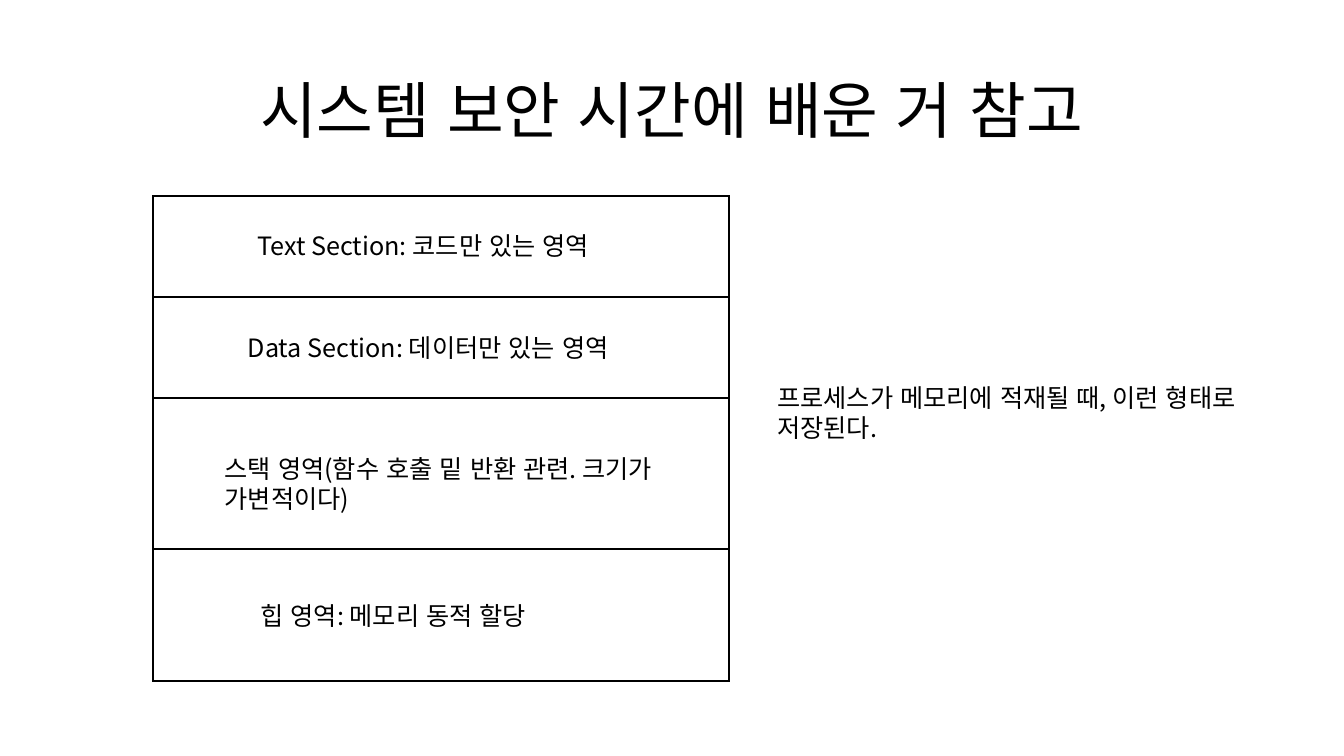
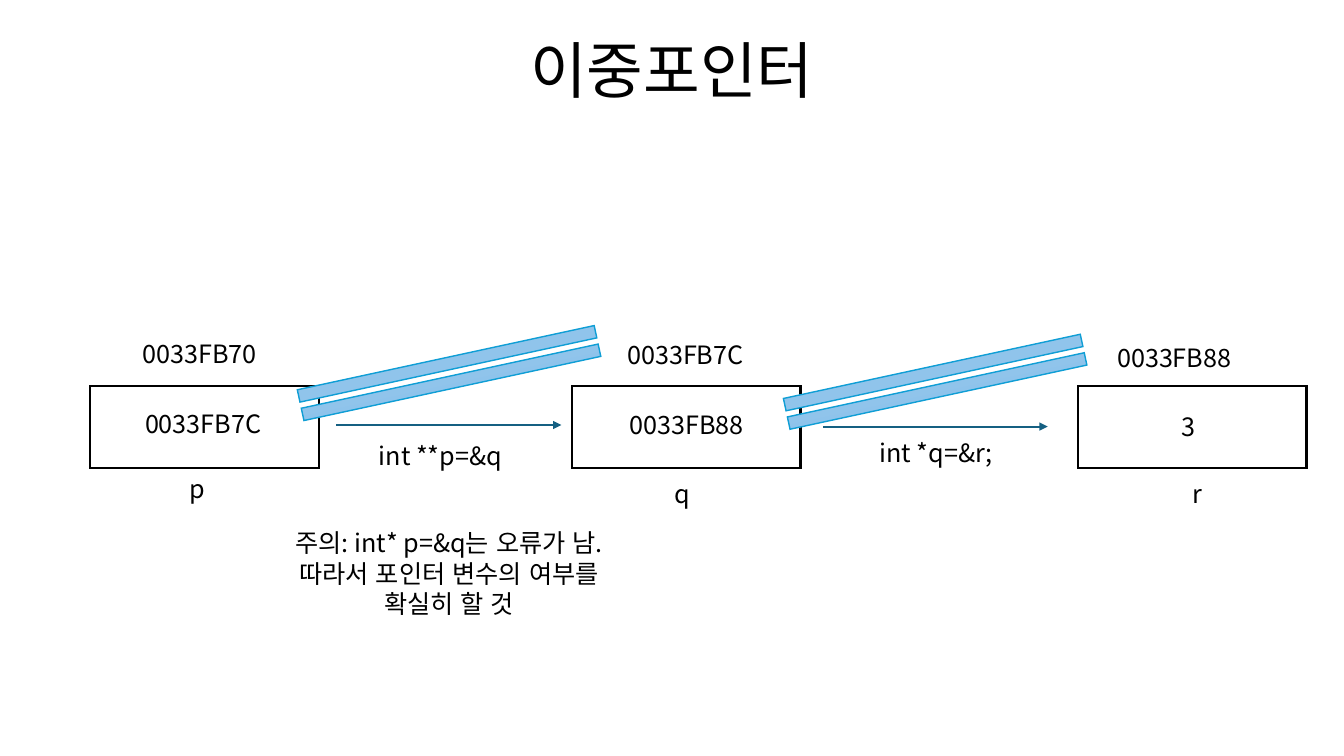
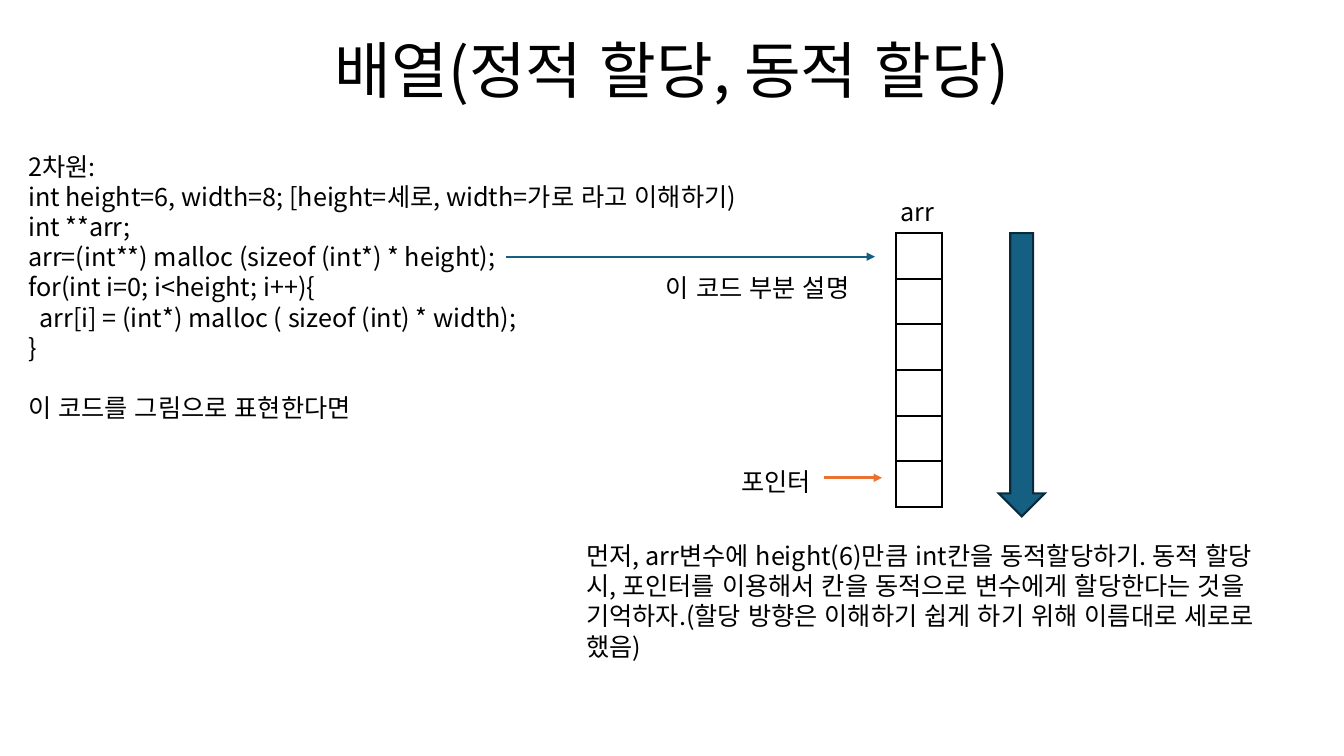
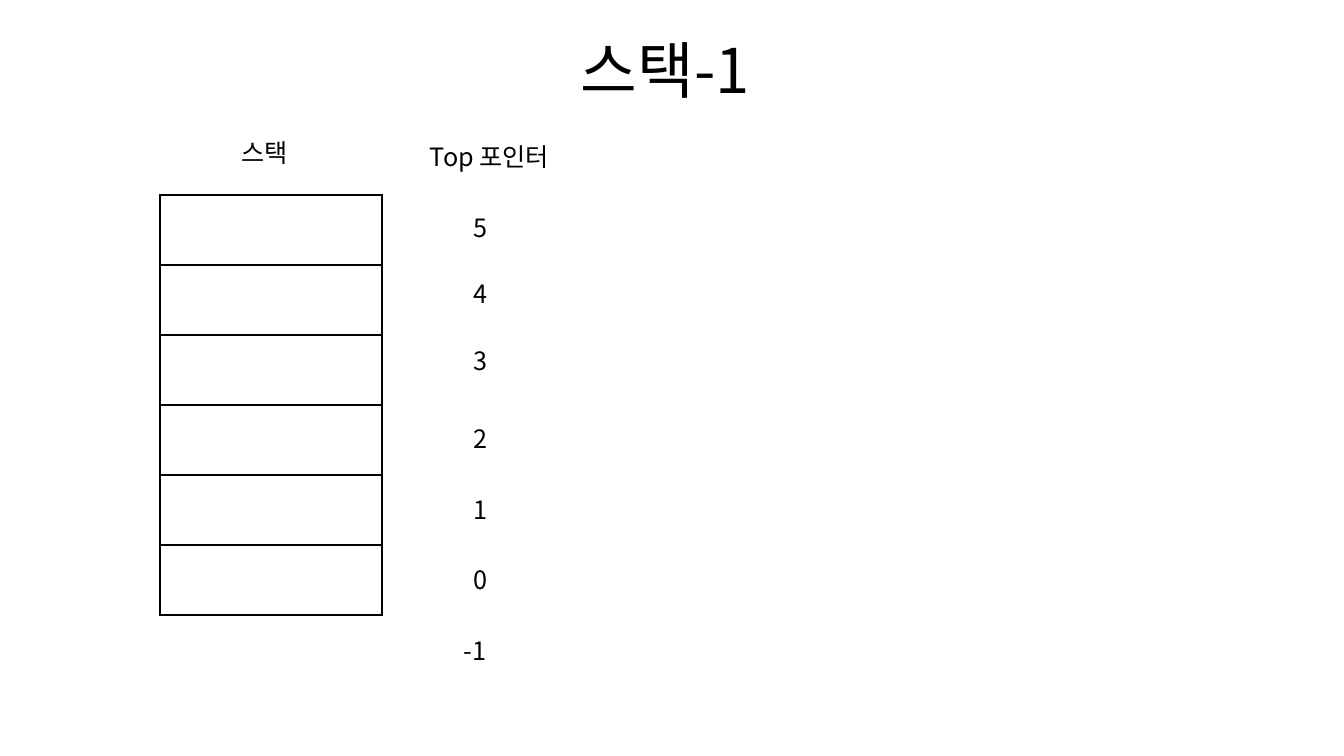
from lxml.etree import SubElement
from pptx import Presentation
from pptx.dml.color import RGBColor
from pptx.enum.lang import MSO_LANGUAGE_ID
from pptx.enum.shapes import MSO_CONNECTOR, MSO_SHAPE
from pptx.enum.text import MSO_ANCHOR, MSO_AUTO_SIZE, PP_ALIGN
from pptx.oxml.ns import qn
from pptx.util import Pt

BLACK, WHITE = "000000", "FFFFFF"
TEAL, DARK_TEAL, ORANGE, SKY = "156082", "092A39", "E97132", "0F9ED5"
SKY_GRADIENT = [(0, "9ECFF5"), (50, "90C4EB"), (100, "7CBEED")]


def color(hex_string):
    return RGBColor.from_string(hex_string)


class Deck:
    """Shared style plus the slide being filled; all lengths in points."""

    font_name = "Noto Sans CJK KR"
    title_size, text_size, line_height = 44, 18, 21.6

    def __init__(self):
        self.presentation = Presentation()
        self.presentation.slide_width = Pt(960)
        self.presentation.slide_height = Pt(540)
        self.slide = None

    def format_paragraph(self, paragraph, size, align, spacing):
        paragraph.alignment = align
        paragraph.line_spacing = spacing
        for run in paragraph.runs:
            run.font.size = Pt(size)
            run.font.name = self.font_name
            run.font.language_id = MSO_LANGUAGE_ID.KOREAN
            run.font.color.rgb = color(BLACK)
            east_asian = SubElement(run.font._element, qn("a:ea"))
            east_asian.set("typeface", self.font_name)

    def new_slide(self, title, top=0):
        self.slide = self.presentation.slides.add_slide(
            self.presentation.slide_layouts[5])
        shape = self.slide.shapes.title
        shape.left, shape.top, shape.width, shape.height = (
            Pt(66), Pt(top), Pt(828), Pt(104.4))
        frame = shape.text_frame
        frame.text = title
        frame.word_wrap = True
        frame.auto_size = MSO_AUTO_SIZE.NONE
        frame.vertical_anchor = MSO_ANCHOR.MIDDLE
        self.format_paragraph(frame.paragraphs[0], self.title_size,
                              PP_ALIGN.CENTER, 0.9)

    def text(self, text, left, top, width, lines=1, align=PP_ALIGN.LEFT):
        height = lines * self.line_height + 7.2
        box = self.slide.shapes.add_textbox(Pt(left), Pt(top), Pt(width), Pt(height))
        frame = box.text_frame
        frame.word_wrap = True
        frame.auto_size = MSO_AUTO_SIZE.SHAPE_TO_FIT_TEXT
        frame.text = text
        for paragraph in frame.paragraphs:
            self.format_paragraph(paragraph, self.text_size, align,
                                  Pt(self.line_height))
        return frame.paragraphs

    def shape(self, kind, left, top, width, height,
              fill=WHITE, line=BLACK, line_width=1.5):
        shape = self.slide.shapes.add_shape(
            kind, Pt(left), Pt(top), Pt(width), Pt(height))
        shape.shadow.inherit = False
        shape.fill.solid()
        shape.fill.fore_color.rgb = color(fill)
        shape.line.color.rgb = color(line)
        shape.line.width = Pt(line_width)
        outline = shape._element.spPr.find(qn("a:ln"))
        SubElement(outline, qn("a:miter"), lim="800000")
        return shape

    def stack(self, left, top, width, heights):
        """Boxes piled on one another without gaps."""
        for height in heights:
            self.shape(MSO_SHAPE.RECTANGLE, left, top, width, height)
            top += height

    def equal_sign(self, left, top):
        sign = self.shape(MSO_SHAPE.MATH_EQUAL, left, top, 295.2, 38.2,
                          line=SKY, line_width=1)
        sign.rotation = 347.8
        sign.fill.gradient()
        sign.fill.gradient_angle = 270
        stops = sign._element.spPr.find(qn("a:gradFill")).find(qn("a:gsLst"))
        for stop in list(stops):
            stops.remove(stop)
        for position, hex_string in SKY_GRADIENT:
            stop = SubElement(stops, qn("a:gs"), pos=str(position * 1000))
            SubElement(stop, qn("a:srgbClr"), val=hex_string)

    def arrow(self, start, end, y, line=TEAL, width=1.5):
        connector = self.slide.shapes.add_connector(
            MSO_CONNECTOR.STRAIGHT, Pt(start), Pt(y), Pt(end), Pt(y))
        connector.line.color.rgb = color(line)
        connector.line.width = Pt(width)
        properties = connector._element.spPr
        SubElement(properties.find(qn("a:ln")), qn("a:tailEnd"), type="triangle")
        SubElement(properties, qn("a:effectLst"))


def memory_slide(deck):
    deck.new_slide("시스템 보안 시간에 배운 거 참고", top=28.8)
    deck.stack(109.5, 140.3, 411.2, [72, 72, 107.7, 94.3])
    deck.text("Text Section: 코드만 있는 영역", 176.8, 161, 291)
    deck.text("Data Section: 데이터만 있는 영역", 169.9, 234, 340.6)
    deck.text("스택 영역(함수 호출 밑 반환 관련. 크기가 가변적이다)",
              153.4, 320.4, 341.3, lines=2)
    deck.text("힙 영역: 메모리 동적 할당", 179, 425.2, 332)
    deck.text("프로세스가 메모리에 적재될 때, 이런 형태로 저장된다.",
              548.2, 269.3, 381.6, lines=2)


def pointer_slide(deck):
    deck.new_slide("이중포인터")
    center = PP_ALIGN.CENTER

    # Variables: box left, address, address place, value, value place, name, name place
    variables = [
        (64.4, "0033FB70", (57.6, 238.3), "0033FB7C", (96.5, 288), "p", (128.2, 334.8)),
        (408.6, "0033FB7C", (404.6, 239), "0033FB88", (442.6, 288.7), "q", (474.5, 338.4)),
        (770.1, "0033FB88", (753.8, 241.2), "3", (836.6, 290.2), "r", (844.6, 338.4)),
    ]
    for left, address, address_at, value, value_at, name, name_at in variables:
        deck.shape(MSO_SHAPE.RECTANGLE, left, 275.5, 163.2, 58.8)
        deck.text(address, *address_at, 170, align=center)
        deck.text(value, *value_at, 110)
        deck.text(name, *name_at, 60)

    # Links between the variables
    deck.arrow(240.2, 401, 303.6)
    deck.text("int **p=&q", 230.4, 311, 168.5, align=center)
    deck.arrow(587.9, 748.4, 304.7)
    deck.text("int *q=&r;", 621.2, 308.9, 127.4)
    deck.text("주의: int* p=&q는 오류가 남. 따라서 포인터 변수의 여부를 확실히 할 것",
              187.9, 373.4, 265.7, lines=3, align=center)
    deck.equal_sign(173.2, 247.4)
    deck.equal_sign(520.4, 253.6)


def array_slide(deck):
    deck.new_slide("배열(정적 할당, 동적 할당)")

    # Code listing
    code = [
        "2차원:",
        "int height=6, width=8; [height=세로, width=가로 라고 이해하기)",
        "int **arr;",
        "arr=(int**) malloc (sizeof (int*) * height);",
        "for(int i=0; i<height; i++){",
        "arr[i] = (int*) malloc ( sizeof (int) * width);",
        "}",
        "이 코드를 그림으로 표현한다면",
    ]
    paragraphs = deck.text("\n".join(code), 13, 104.2, 922.3, lines=9)
    paragraphs[5]._p.get_or_add_pPr().set("marL", str(Pt(8)))
    paragraphs[-1].space_before = Pt(deck.line_height)

    # Array of pointers
    deck.text("arr", 636.3, 136.8, 51.8)
    deck.stack(640.1, 166.5, 32.7, [32.6] * 6)
    deck.shape(MSO_SHAPE.DOWN_ARROW, 713.5, 166.5, 32.7, 202.3, TEAL, DARK_TEAL)
    deck.arrow(361.4, 625, 183.4)
    deck.text("이 코드 부분 설명", 468.5, 190.8, 171.4)
    deck.arrow(588.4, 630, 341.3, ORANGE, 2)
    deck.text("포인터", 522.5, 329.8, 90.7)
    deck.text("먼저, arr변수에 height(6)만큼 int칸을 동적할당하기. 동적 할당 시, "
              "포인터를 이용해서 칸을 동적으로 변수에게 할당한다는 것을 기억하자."
              "(할당 방향은 이해하기 쉽게 하기 위해 이름대로 세로로 했음)",
              411.8, 382.3, 505, lines=4)


def stack_slide(deck):
    deck.new_slide("스택-1 ")
    deck.text("스택", 165.6, 94.3, 71.3)
    deck.stack(114.3, 139.3, 158.6, [50] * 6)
    deck.text("Top 포인터", 300, 97.6, 129.6)
    tops = [148.3, 195.1, 243.4, 298.5, 349.2, 399.6, 450]
    for value, top in zip(range(5, -2, -1), tops):
        deck.text(str(value), 331.2 if value >= 0 else 324, top, 67.7)


def main():
    deck = Deck()
    for build in (memory_slide, pointer_slide, array_slide, stack_slide):
        build(deck)
    deck.presentation.save("out.pptx")


if __name__ == "__main__":
    main()
